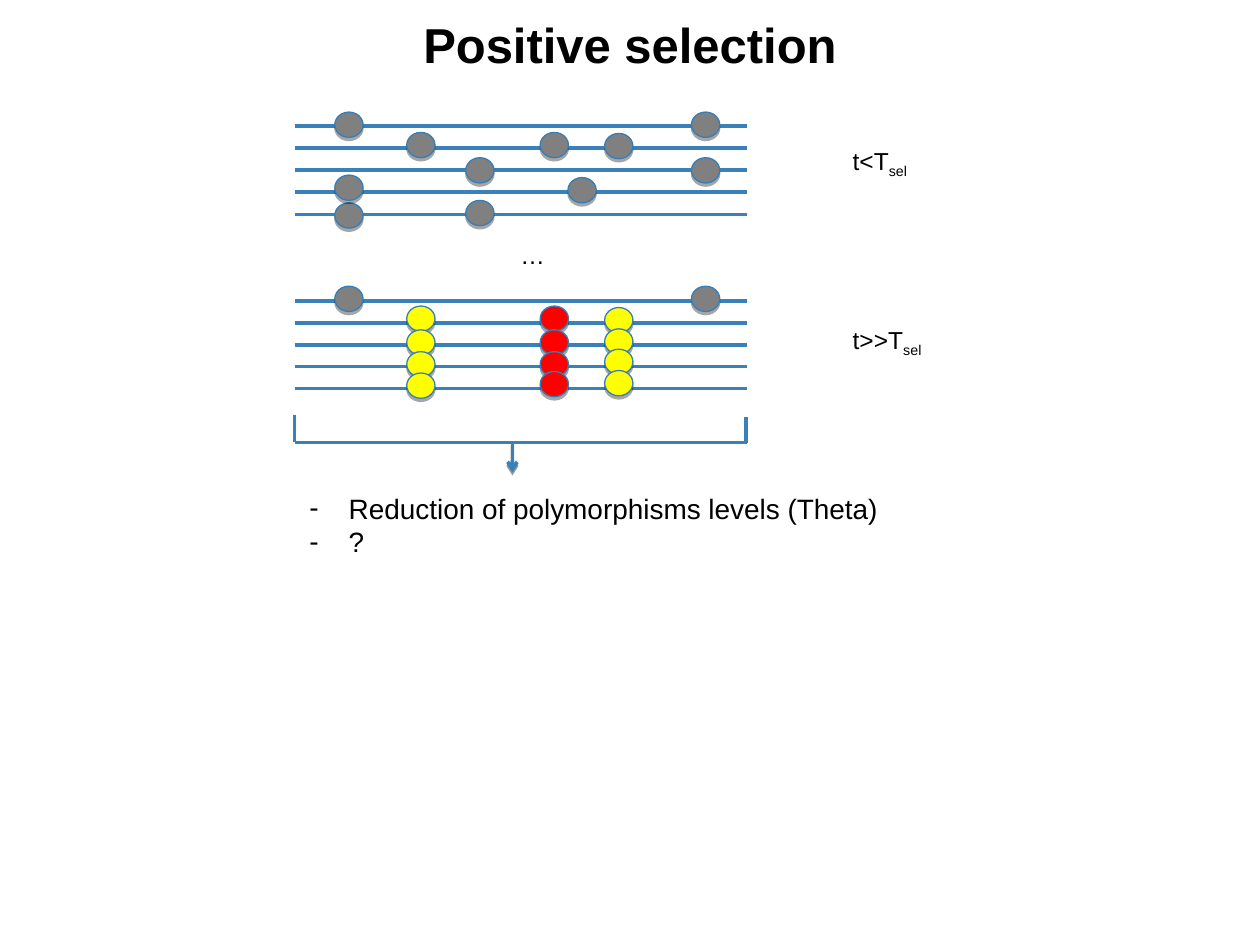
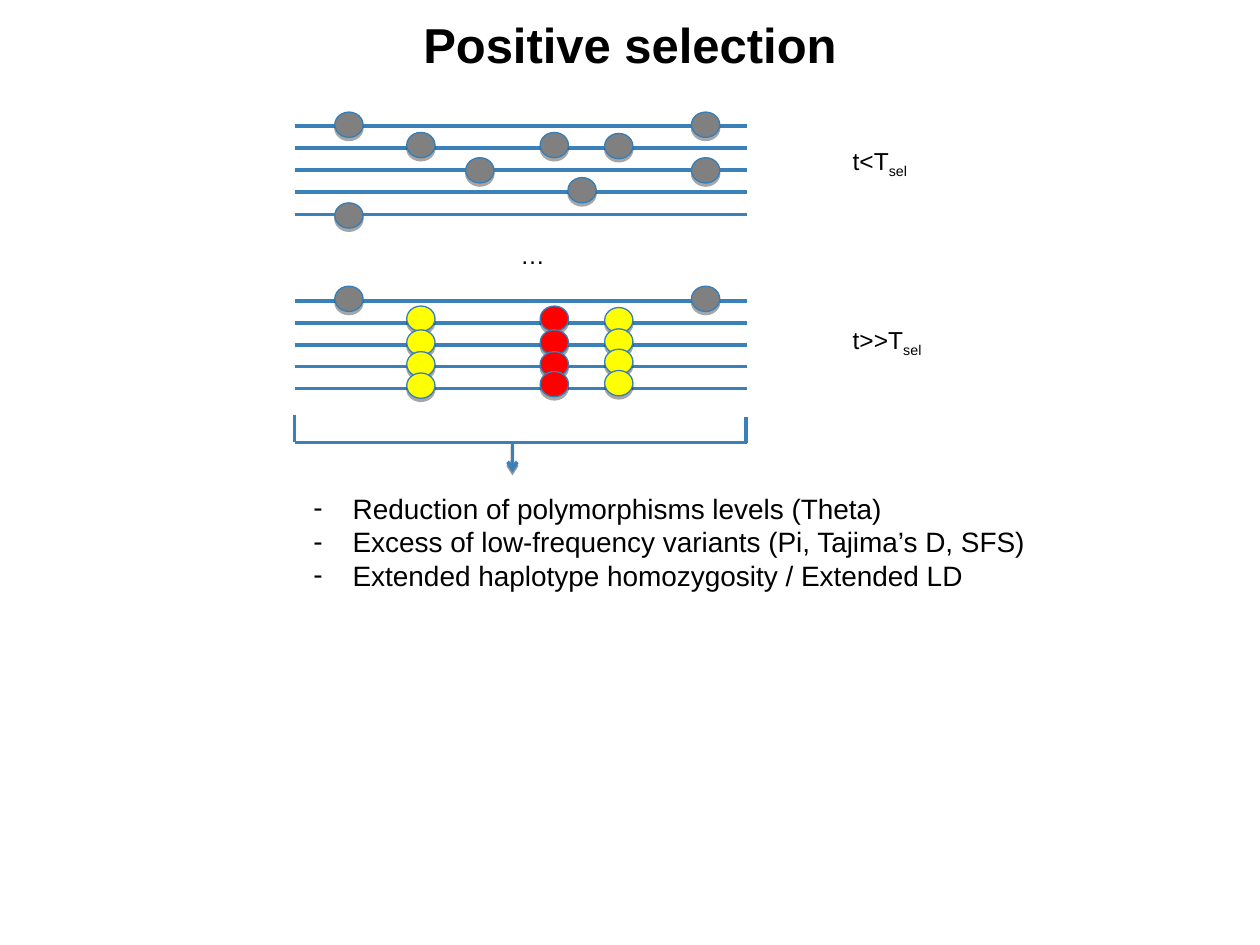
from lxml import etree
from pptx import Presentation
from pptx.dml.color import RGBColor
from pptx.enum.shapes import MSO_CONNECTOR, MSO_SHAPE
from pptx.enum.text import MSO_ANCHOR, MSO_AUTO_SIZE, PP_ALIGN
from pptx.oxml.ns import qn
from pptx.util import Cm, Pt

STRAIGHT = MSO_CONNECTOR.STRAIGHT
ELLIPSE = MSO_SHAPE.OVAL
MIDDLE = MSO_ANCHOR.MIDDLE
GROW = MSO_AUTO_SIZE.SHAPE_TO_FIT_TEXT
CENTER = PP_ALIGN.CENTER

BLACK = RGBColor(0x00, 0x00, 0x00)
STRAND_BLUE = RGBColor(0x3A, 0x81, 0xBA)
OUTLINE_BLUE = RGBColor(0x35, 0x7E, 0xB8)
NEUTRAL_GREY = RGBColor(0x80, 0x80, 0x80)
LINKED_YELLOW = RGBColor(0xFF, 0xFF, 0x00)
SELECTED_RED = RGBColor(0xFF, 0x00, 0x00)

TITLE_FONT = {"name": "Arial", "size": Pt(28), "bold": True}
LABEL_FONT = {"name": "Arial", "size": Pt(14)}
EFFECT_FONT = {"name": "Arial", "size": Pt(16)}
TITLE_FRAME = {"word_wrap": True, "vertical_anchor": MIDDLE,
               "margin_top": Cm(0.25), "margin_bottom": Cm(0.25)}
LABEL_FRAME = {"word_wrap": True, "auto_size": GROW}
LOOSE_FRAME = {"word_wrap": False, "auto_size": GROW}

STRAND_COUNT = 5
MUTATION_SIZE = (0.57, 0.51)
HANGING_INDENT = Cm(0.79)

TITLE_BOX = (1.27, 0.05, 22.86, 1.68)
BEFORE_BOX = (5.94, 2.54, 9.12, 1.78)
AFTER_BOX = (5.94, 6.07, 9.12, 1.76)
BRACKET_BOX = (5.94, 8.36, 9.12, 0.56)
BEFORE_LABEL_BOX = (16.94, 2.82, 2.74, 0.91)
AFTER_LABEL_BOX = (16.94, 6.43, 2.74, 0.91)
ELLIPSIS_BOX = (10.24, 4.72, 0.99, 0.84)

BEFORE_MUTATIONS = [
    (0.81, NEUTRAL_GREY, [-0.28, 1.55]),
    (2.26, NEUTRAL_GREY, [0.13]),
    (3.45, NEUTRAL_GREY, [0.64]),
    (4.95, NEUTRAL_GREY, [0.13]),
    (5.51, NEUTRAL_GREY, [1.04]),
    (6.25, NEUTRAL_GREY, [0.15]),
    (8.0, NEUTRAL_GREY, [-0.28, 0.64]),
]
EXTRA_MUTATIONS = [
    (0.81, NEUTRAL_GREY, [0.99]),
    (3.45, NEUTRAL_GREY, [1.5]),
]
AFTER_MUTATIONS = [
    (0.81, NEUTRAL_GREY, [-0.3]),
    (2.26, LINKED_YELLOW, [0.1, 0.58, 1.02, 1.45]),
    (4.95, SELECTED_RED, [0.1, 0.58, 1.02, 1.42]),
    (6.25, LINKED_YELLOW, [0.13, 0.56, 0.97, 1.4]),
    (8.0, NEUTRAL_GREY, [-0.3]),
]

SLIDES = [
    (BEFORE_MUTATIONS + EXTRA_MUTATIONS, (5.99, 9.78, 11.96, 1.6),
     ["Reduction of polymorphisms levels (Theta)", "?"]),
    (BEFORE_MUTATIONS, (6.07, 9.78, 14.86, 2.29),
     ["Reduction of polymorphisms levels (Theta)",
      "Excess of low-frequency variants (Pi, Tajima’s D, SFS)",
      "Extended haplotype homozygosity / Extended LD"]),
]


def apply_format(target, values):
    for attribute, value in values.items():
        setattr(target, attribute, value)


def set_shadow(shape, distance=0, opacity=0):
    effects = etree.SubElement(shape.element.spPr, qn("a:effectLst"))
    if distance:
        shadow = etree.SubElement(effects, qn("a:outerShdw"), blurRad="0",
                                  dist=str(Pt(distance)), dir="5400000",
                                  algn="ctr", rotWithShape="0")
        color = etree.SubElement(shadow, qn("a:srgbClr"), val=str(BLACK))
        etree.SubElement(color, qn("a:alpha"), val=str(opacity * 1000))


def add_line(shapes, x1, y1, x2, y2, arrow=False):
    line = shapes.add_connector(STRAIGHT, Cm(x1), Cm(y1), Cm(x2), Cm(y2))
    line.line.color.rgb = STRAND_BLUE
    line.line.width = Pt(2)
    if arrow:
        etree.SubElement(line.line._get_or_add_ln(), qn("a:tailEnd"), type="arrow")
        set_shadow(line, 1.6, 38)
    else:
        set_shadow(line)


def add_mutation(shapes, x, y, color):
    width, height = MUTATION_SIZE
    mutation = shapes.add_shape(ELLIPSE, Cm(x), Cm(y), Cm(width), Cm(height))
    mutation.fill.solid()
    mutation.fill.fore_color.rgb = color
    mutation.line.color.rgb = OUTLINE_BLUE
    mutation.line.width = Pt(0.75)
    set_shadow(mutation, 1.8, 35)


def add_frame(slide, box, frame_format):
    frame = slide.shapes.add_textbox(*map(Cm, box)).text_frame
    apply_format(frame, frame_format)
    return frame


def add_run(paragraph, text, font_format):
    run = paragraph.add_run()
    run.text = text
    apply_format(run.font, font_format)
    run.font.color.rgb = BLACK
    return run


def add_title(slide, box, text):
    paragraph = add_frame(slide, box, TITLE_FRAME).paragraphs[0]
    paragraph.alignment = CENTER
    add_run(paragraph, text, TITLE_FONT)


def add_population(slide, box, mutations):
    left, top, width, height = box
    shapes = slide.shapes.add_group_shape().shapes
    for strand in range(STRAND_COUNT):
        y = top + strand * height / (STRAND_COUNT - 1)
        add_line(shapes, left, y, left + width, y)
    for x, color, offsets in mutations:
        for y in offsets:
            add_mutation(shapes, left + x, top + y, color)


def add_time_label(slide, box, text):
    paragraph = add_frame(slide, box, LABEL_FRAME).paragraphs[0]
    add_run(paragraph, text, LABEL_FONT)
    subscript = add_run(paragraph, "sel", LABEL_FONT)
    subscript._r.get_or_add_rPr().set("baseline", "-25000")


def add_ellipsis(slide, box):
    add_run(add_frame(slide, box, LOOSE_FRAME).paragraphs[0], "…", LABEL_FONT)


def add_bracket(slide, box):
    left, top, width, height = box
    right, bottom, stem = left + width, top + height, left + 4.39
    add_line(slide.shapes, left, bottom, right, bottom)
    add_line(slide.shapes, left, top, left, bottom)
    add_line(slide.shapes, right - 0.02, top + 0.04, right - 0.02, bottom + 0.02)
    add_line(slide.shapes, stem, bottom, stem, bottom + 0.61, arrow=True)


def add_effects(slide, box, effects):
    frame = add_frame(slide, box, LOOSE_FRAME)
    for index, effect in enumerate(effects):
        paragraph = frame.add_paragraph() if index else frame.paragraphs[0]
        properties = paragraph._p.get_or_add_pPr()
        properties.set("marL", str(HANGING_INDENT))
        properties.set("indent", str(-HANGING_INDENT))
        bullet_color = etree.SubElement(properties, qn("a:buClr"))
        etree.SubElement(bullet_color, qn("a:srgbClr"), val=str(BLACK))
        etree.SubElement(properties, qn("a:buFont"), typeface="Arial")
        etree.SubElement(properties, qn("a:buChar"), char="-")
        add_run(paragraph, effect, EFFECT_FONT)


def add_selection_slide(presentation, before_mutations, effects_box, effects):
    slide = presentation.slides.add_slide(presentation.slide_layouts[6])
    add_title(slide, TITLE_BOX, "Positive selection")
    add_population(slide, BEFORE_BOX, before_mutations)
    add_population(slide, AFTER_BOX, AFTER_MUTATIONS)
    add_time_label(slide, BEFORE_LABEL_BOX, "t<T")
    add_time_label(slide, AFTER_LABEL_BOX, "t>>T")
    add_bracket(slide, BRACKET_BOX)
    add_effects(slide, effects_box, effects)
    add_ellipsis(slide, ELLIPSIS_BOX)


def main():
    presentation = Presentation()
    presentation.slide_width = Cm(25.4)
    presentation.slide_height = Cm(19.05)
    for before_mutations, effects_box, effects in SLIDES:
        add_selection_slide(presentation, before_mutations, effects_box, effects)
    presentation.save("out.pptx")


if __name__ == "__main__":
    main()
